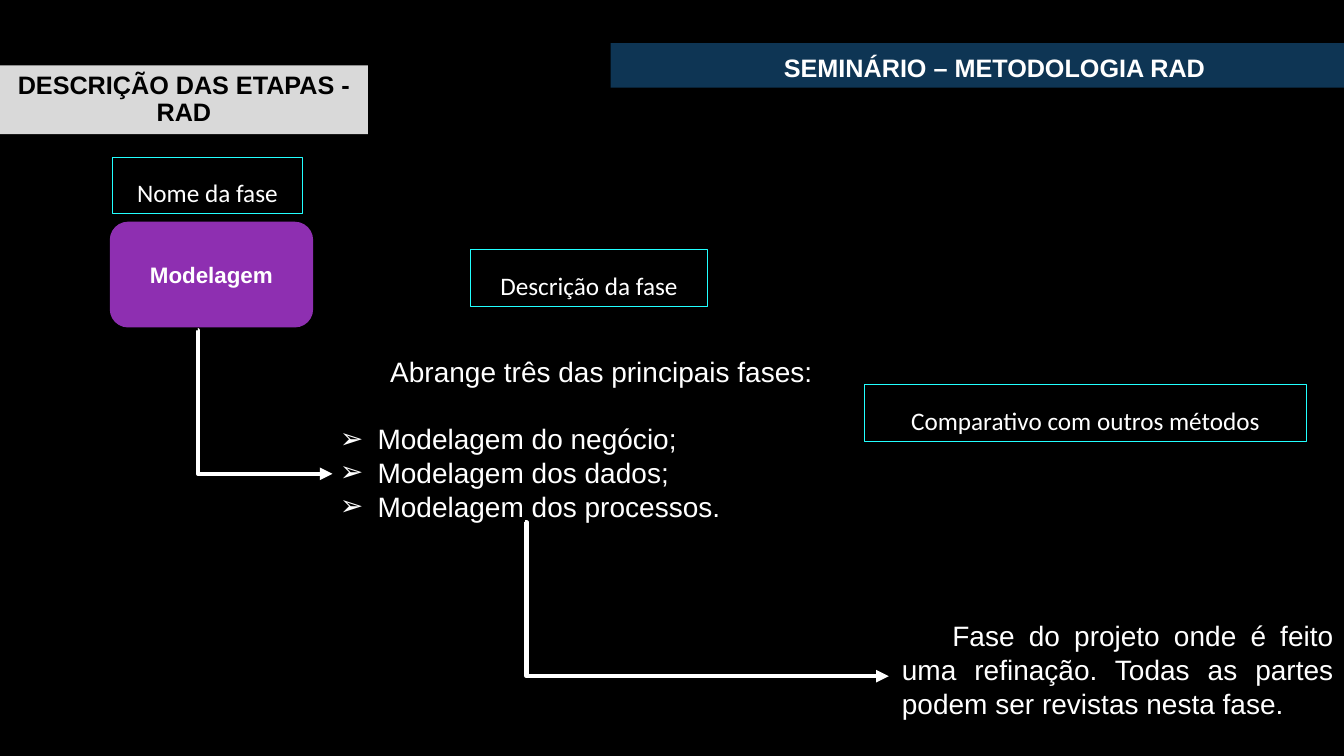
"""Build the RAD seminar slide on the modelling phase."""
import pptx
import pptx.util
import pptx.dml.color
import pptx.enum.shapes
import pptx.enum.text
import pptx.oxml
import pptx.oxml.ns

Cm, Pt = pptx.util.Cm, pptx.util.Pt
Color = pptx.dml.color.RGBColor
Kind = pptx.enum.shapes.MSO_SHAPE
Align = pptx.enum.text.PP_ALIGN
Anchor = pptx.enum.text.MSO_ANCHOR
Fit = pptx.enum.text.MSO_AUTO_SIZE

BLACK = Color(0x00, 0x00, 0x00)
WHITE = Color(0xFF, 0xFF, 0xFF)
GRAY = Color(0xD9, 0xD9, 0xD9)
NAVY = Color(0x0E, 0x35, 0x54)
PURPLE = Color(0x8E, 0x2F, 0xB1)
CYAN = Color(0x22, 0xFF, 0xFF)

TITLE = ("DESCRIÇÃO DAS ETAPAS - RAD", (0, 1.65, 9.27, 1.73))
BAND = ("SEMINÁRIO – METODOLOGIA RAD", (15.39, 1.09, 19.35, 1.12))
PHASE = ("Modelagem", (2.79, 5.61, 5.08, 2.62))
NAME = ("Nome da fase", (2.84, 3.96, 4.78, 1.42))
LABELS = [
    ("Descrição da fase", (11.86, 6.3, 5.97, 1.42)),
    ("Comparativo com outros métodos", (21.79, 9.7, 11.13, 1.42)),
]
INTRO = "Abrange três das principais fases:"
ITEMS = ["Modelagem do negócio;", "Modelagem dos dados;", "Modelagem dos processos."]
LIST_BOX = (8.31, 8.81, 13.11, 4.52)
NOTE = ("Fase do projeto onde é feito uma refinação. Todas as partes "
        "podem ser revistas nesta fase.", (22.48, 15.47, 11.38, 2.82))
WIRES = [(4.98, 8.33, 8.38, 11.94), (13.24, 13.16, 22.4, 17.04)]


def place(shape, box):
    """Move a shape to a box given in centimetres."""
    shape.left, shape.top, shape.width, shape.height = map(Cm, box)


def write(para, text, size, color=WHITE, bold=False, face="Arial", align=Align.CENTER, line=1.0):
    """Add one formatted run to a paragraph."""
    para.alignment, para.line_spacing = align, line
    run = para.add_run()
    run.text = text
    font = run.font
    font.name, font.size, font.bold = face, Pt(size), bold
    font.color.rgb = color


def element(parent, tag, **attrs):
    """Append a drawing element with its attributes."""
    node = pptx.oxml.parse_xml(f"<a:{tag} {pptx.oxml.ns.nsdecls('a')}/>")
    for key, value in attrs.items():
        node.set(key, value)
    parent.append(node)


def indent(para, left, first):
    """Set the left margin and first-line indent in centimetres."""
    props = para._p.get_or_add_pPr()
    props.set("marL", str(Cm(left)))
    props.set("indent", str(Cm(first)))
    return props


def draw(shapes, kind, box, fill=None, line=None, width=0.75):
    """Draw a plain shape without a shadow."""
    shape = shapes.add_shape(kind, *map(Cm, box))
    shape.shadow.inherit = False
    if fill is None:
        shape.fill.background()
    else:
        shape.fill.solid()
        shape.fill.fore_color.rgb = fill
    if line is None:
        shape.line.fill.background()
    else:
        shape.line.color.rgb = line
        shape.line.width = Pt(width)
    return shape


def label(shapes, text, box):
    """Draw a cyan-framed label."""
    frame = draw(shapes, Kind.RECTANGLE, box, line=CYAN).text_frame
    frame.word_wrap, frame.auto_size = False, Fit.SHAPE_TO_FIT_TEXT
    frame.vertical_anchor = Anchor.TOP
    write(frame.paragraphs[0], text, 18, face="Calibri", line=1.5)


def wire(shapes, ends):
    """Draw an elbow arrow that runs down, then right."""
    link = shapes.add_connector(pptx.enum.shapes.MSO_CONNECTOR.ELBOW, *map(Cm, ends))
    link.line.color.rgb, link.line.width = WHITE, Pt(3)
    props = link._element.spPr
    element(props.find(pptx.oxml.ns.qn("a:ln")), "tailEnd", type="triangle")
    element(props, "effectLst")
    geom = props.find(pptx.oxml.ns.qn("a:prstGeom"))
    element(geom.get_or_add_avLst(), "gd", name="adj1", fmla="val 300")


def phases(body):
    """Fill the body with the introduction and its bullets."""
    place(body, LIST_BOX)
    frame = body.text_frame
    frame.word_wrap, frame.auto_size = True, Fit.NONE
    para = frame.paragraphs[0]
    element(indent(para, 0, 1.27), "buNone")
    para.space_before = Pt(0)
    write(para, INTRO, 20, align=Align.LEFT)
    for rank, item in enumerate(ITEMS):
        para = frame.add_paragraph()
        props = indent(para, 0.95, -0.95)
        element(props, "buFont", typeface="Arial")
        element(props, "buChar", char="➢")
        para.space_before = Pt(0 if rank else 24)
        write(para, item, 20, align=Align.LEFT)


def main():
    """Compose and save the slide."""
    deck = pptx.Presentation()
    deck.slide_width, deck.slide_height = Cm(33.87), Cm(19.05)
    slide = deck.slides.add_slide(deck.slide_layouts[1])
    slide.background.fill.solid()
    slide.background.fill.fore_color.rgb = BLACK
    shapes = slide.shapes

    title = shapes.title
    place(title, TITLE[1])
    title.fill.solid()
    title.fill.fore_color.rgb = GRAY
    title.text_frame.auto_size = Fit.NONE
    title.text_frame.vertical_anchor = Anchor.MIDDLE
    write(title.text_frame.paragraphs[0], TITLE[0], 18, BLACK, True, line=0.9)

    band = draw(shapes, Kind.RECTANGLE, BAND[1], NAVY).text_frame
    band.word_wrap, band.vertical_anchor = True, Anchor.BOTTOM
    write(band.paragraphs[0], BAND[0], 18, bold=True, line=0.9)

    group = shapes.add_group_shape().shapes
    phase = draw(group, Kind.ROUNDED_RECTANGLE, PHASE[1], PURPLE, PURPLE, 1.25).text_frame
    phase.word_wrap, phase.vertical_anchor = True, Anchor.MIDDLE
    write(phase.paragraphs[0], PHASE[0], 16, bold=True)
    label(group, *NAME)
    for text, box in LABELS:
        label(shapes, text, box)
    for ends in WIRES:
        wire(shapes, ends)

    phases(slide.placeholders[1])
    note = shapes.add_textbox(*map(Cm, NOTE[1])).text_frame
    note.word_wrap, note.auto_size = True, Fit.SHAPE_TO_FIT_TEXT
    indent(note.paragraphs[0], 0, 1.27)
    write(note.paragraphs[0], NOTE[0], 20, align=Align.JUSTIFY)
    deck.save("out.pptx")


if __name__ == "__main__":
    main()
